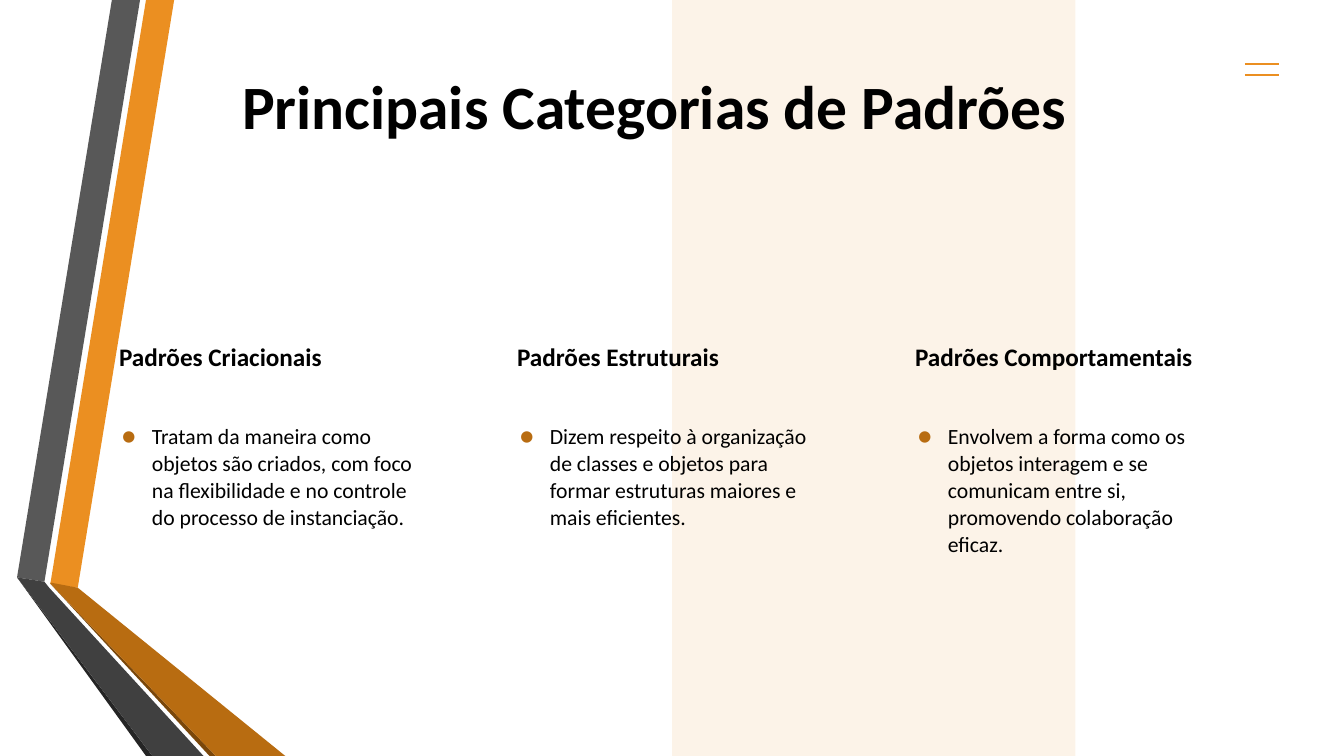
from lxml.etree import SubElement
from pptx import Presentation
from pptx.dml.color import RGBColor as Rgb
from pptx.enum.shapes import MSO_CONNECTOR as Connector, MSO_SHAPE as Shape
from pptx.enum.text import MSO_ANCHOR as Anchor
from pptx.oxml.ns import qn
from pptx.util import Cm, Pt

COLORS = {
    "orange": "EB8F21", "amber": "B86C11", "brown": "7A470A",
    "grey": "585858", "charcoal": "404040", "coal": "252525",
    "cream": "FAE9D2", "black": "000000",
}
FONT = "Calibri"
TITLE = {"size": Pt(44), "bold": True}
HEADING = {"size": Pt(18), "bold": True}
BODY = {"size": Pt(15.5), "bold": False}

# Ribbon outlines in hundredths of a centimetre, from back to front
RIBBONS = [
    ("orange", [(439, 0), (368, 0), (127, 1471), (196, 1481)]),
    ("grey", [(353, 0), (282, 0), (43, 1455), (112, 1466)]),
    ("coal", [(43, 1455), (368, 1905), (384, 1905)]),
    ("brown", [(127, 1471), (528, 1905), (544, 1905)]),
    ("amber", [(127, 1468), (127, 1471), (544, 1905), (719, 1905), (196, 1481)]),
    ("charcoal", [(43, 1455), (384, 1905), (513, 1905), (124, 1481), (112, 1466)]),
]

CATEGORIES = [
    ("Padrões Criacionais",
     "Tratam da maneira como objetos são criados, com foco na flexibilidade "
     "e no controle do processo de instanciação."),
    ("Padrões Estruturais",
     "Dizem respeito à organização de classes e objetos para formar "
     "estruturas maiores e mais eficientes."),
    ("Padrões Comportamentais",
     "Envolvem a forma como os objetos interagem e se comunicam entre si, "
     "promovendo colaboração eficaz."),
]


def color(name):
    return Rgb.from_string(COLORS[name])


def paint(shape, name):
    shape.shadow.inherit = False
    shape.fill.solid()
    shape.fill.fore_color.rgb = color(name)
    shape.line.fill.background()


def add_text(page, box, text, style):
    """Place one paragraph in a box of (left, top, width, height) in cm."""
    frame = page.shapes.add_textbox(*map(Cm, box)).text_frame
    layout = {"word_wrap": True, "vertical_anchor": Anchor.TOP, "margin_left": 0,
              "margin_right": 0, "margin_top": Cm(0.05), "margin_bottom": 0}
    for key, value in layout.items():
        setattr(frame, key, value)
    para = frame.paragraphs[0]
    span = para.add_run()
    span.text = text
    for key, value in {"name": FONT, **style}.items():
        setattr(span.font, key, value)
    span.font.color.rgb = color("black")
    return para


def add_bullet(para):
    props = para._p.get_or_add_pPr()
    props.set("marL", str(Cm(0.83)))
    props.set("indent", str(-Cm(0.78)))
    tint = SubElement(props, qn("a:buClr"))
    SubElement(tint, qn("a:srgbClr"), val=COLORS["amber"])
    SubElement(props, qn("a:buSzPct"), val="148000")
    SubElement(props, qn("a:buFont"), typeface=FONT)
    SubElement(props, qn("a:buChar"), char="•")


def add_ribbons(page, left, top):
    for name, points in RIBBONS:
        outline = page.shapes.build_freeform(*points[0], scale=Cm(0.01))
        outline.add_line_segments(points[1:], close=True)
        paint(outline.convert_to_shape(Cm(left), Cm(top)), name)


def add_band(page, box):
    band = page.shapes.add_shape(Shape.RECTANGLE, *map(Cm, box))
    paint(band, "cream")
    tint = band.fill._xPr.find(qn("a:solidFill"))[0]
    SubElement(tint, qn("a:alpha"), val="50000")


def add_double_rule(page, box):
    left, top, width, height = box
    for y in (top, top + height):
        rule = page.shapes.add_connector(
            Connector.STRAIGHT, Cm(left), Cm(y), Cm(left + width), Cm(y))
        rule.line.color.rgb = color("orange")
        rule.line.width = Pt(1.5)
        SubElement(rule._element.spPr, qn("a:effectLst"))


def add_category(page, box, heading, description):
    left, top, width, height = box
    add_text(page, (left, top, width, 0.9), heading, HEADING)
    para = add_text(page, (left, top + 2.03, width, height - 2.03), description, BODY)
    para.line_spacing = Pt(19.2)
    add_bullet(para)


def main():
    deck = Presentation()
    deck.slide_width, deck.slide_height = Cm(33.87), Cm(19.05)
    page = deck.slides.add_slide(deck.slide_layouts[6])

    # Decoration
    add_ribbons(page, 0, 0)
    add_band(page, (16.94, 0, 10.16, 19.05))
    add_double_rule(page, (31.37, 1.62, 0.86, 0.26))

    # Title
    add_text(page, (6.1, 1.65, 24, 2), "Principais Categorias de Padrões", TITLE)

    # Three equal columns
    for index, category in enumerate(CATEGORIES):
        add_category(page, (3 + index * 10.03, 8.56, 7.75, 5.6), *category)

    deck.save("out.pptx")


if __name__ == "__main__":
    main()
